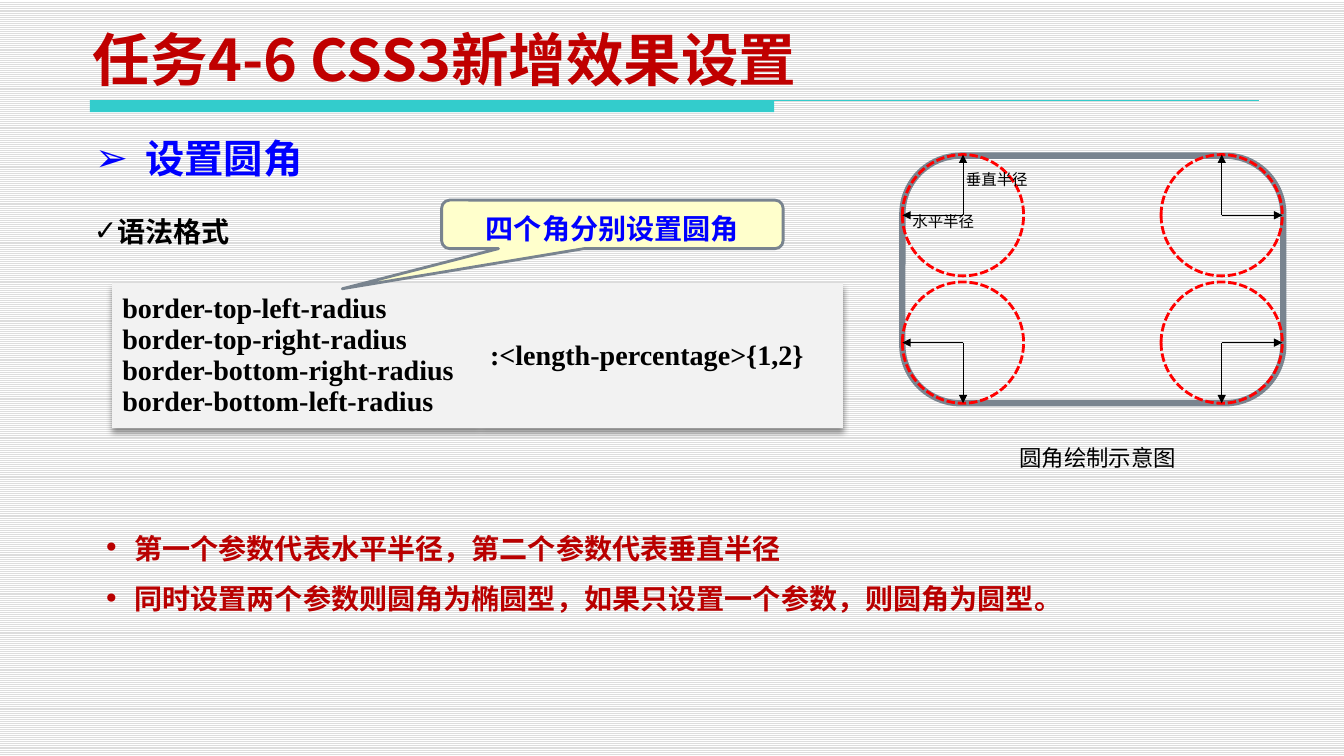
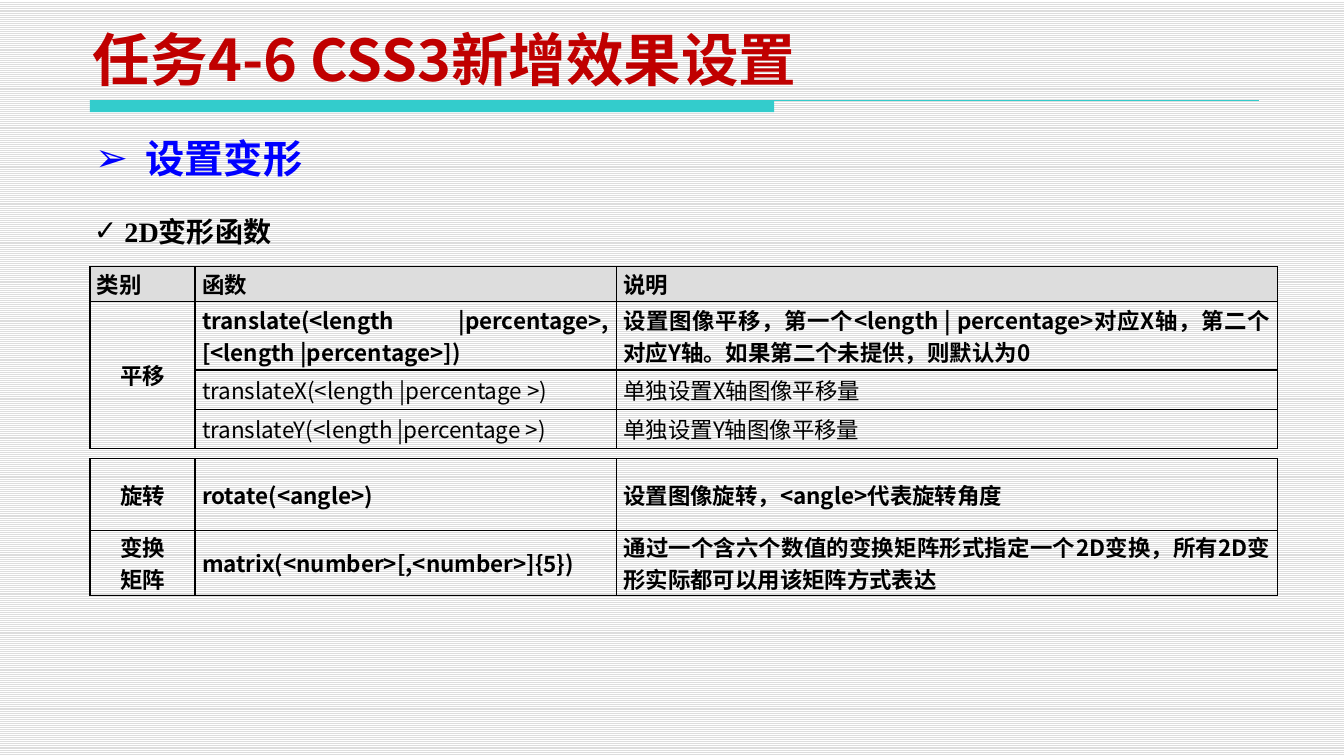
from dataclasses import dataclass
from itertools import product
from typing import NamedTuple

from lxml.etree import SubElement
from pptx import Presentation
from pptx.dml.color import RGBColor
from pptx.enum.dml import MSO_LINE_DASH_STYLE as Dash, MSO_PATTERN_TYPE as Pattern
from pptx.enum.shapes import MSO_CONNECTOR_TYPE as Link, MSO_SHAPE as Kind
from pptx.enum.text import MSO_ANCHOR as Anchor, MSO_AUTO_SIZE as Fit, PP_ALIGN as Align
from pptx.oxml.ns import qn
from pptx.util import Inches, Pt

BLACK = RGBColor(0, 0, 0)
WHITE = RGBColor(0xFF, 0xFF, 0xFF)
SILVER = RGBColor(0xDD, 0xDD, 0xDD)
PALE = RGBColor(0xF2, 0xF2, 0xF2)
SLATE = RGBColor(0x79, 0x84, 0x8F)
TEAL = RGBColor(0x33, 0xCC, 0xCC)
BLUE = RGBColor(0, 0, 0xFF)
RED = RGBColor(0xFF, 0, 0)
BRICK = RGBColor(0xB9, 0, 0)
WINE = RGBColor(0xC0, 0, 0)
CREAM = RGBColor(0xFF, 0xFF, 0xCC)

PLAIN_GRID = "{2D5ABB26-0587-4C30-8999-92F81FD0307C}"
COLS = [1.04, 4.17, 6.54]


class Box(NamedTuple):
    left: float
    top: float
    width: float
    height: float

    def emu(self) -> list:
        return [Inches(side) for side in self]


class Style(NamedTuple):
    name: str
    size: float
    color: RGBColor = BLACK
    bold: bool = False


@dataclass
class Item:
    """A bulleted block for one body placeholder."""
    lines: list[str]
    box: Box
    style: Style
    mark: str
    indent: float = 0
    space: float = 1


@dataclass
class Cell:
    text: str
    bold: bool = True
    align: Align = Align.JUSTIFY
    fill: RGBColor | None = None


TITLE = Style("Noto Sans CJK SC", 41, WINE, True)
HEAD = Style("DejaVu Sans", 28, BLUE, True)
CHECK = Style("Times New Roman", 20, BLACK, True)
POINT = Style("Calibri", 20, BRICK, True)
CALL = Style("DejaVu Sans", 20, BLUE, True)
LABEL = Style("Calibri", 11)
CAPTION = Style("DejaVu Sans", 16)


def sub(parent, tag: str, **attrs: str):
    return SubElement(parent, qn(tag), attrs)


def write(frame, lines: list[str], style: Style, align=Align.LEFT) -> list:
    """Fill a text frame with equally styled paragraphs."""
    frame.text = "\n".join(lines)
    for para in frame.paragraphs:
        para.alignment = align
        font = para.font
        font.name, font.size, font.bold = style.name, Pt(style.size), style.bold
        font.color.rgb = style.color
    return frame.paragraphs


def place(shape, box: Box) -> None:
    shape.left, shape.top, shape.width, shape.height = box.emu()


def add_box(shapes, kind: Kind, box: Box, line: RGBColor, width: float, fill=None):
    shape = shapes.add_shape(kind, *box.emu())
    shape.shadow.inherit = False
    if fill is None:
        shape.fill.background()
    else:
        shape.fill.solid()
        shape.fill.fore_color.rgb = fill
    shape.line.color.rgb, shape.line.width = line, Pt(width)
    return shape


def add_line(shapes, start: tuple, end: tuple, color: RGBColor, arrow=False):
    line = shapes.add_connector(Link.STRAIGHT, *(Inches(v) for v in start + end))
    line.line.color.rgb, line.line.width = color, Pt(0.75)
    props = line.element.spPr
    if arrow:
        sub(props.find(qn("a:ln")), "a:tailEnd", type="triangle")
    sub(props, "a:effectLst")
    return line


def add_text(shapes, text: str, box: Box, style: Style, align=Align.LEFT, wrap=True):
    frame = shapes.add_textbox(*box.emu()).text_frame
    frame.word_wrap = wrap
    write(frame, [text], style, align)


def add_item(holder, item: Item) -> None:
    place(holder, item.box)
    frame = holder.text_frame
    frame.auto_size, frame.vertical_anchor = Fit.NONE, Anchor.TOP
    for para in write(frame, item.lines, item.style):
        para.space_before, para.line_spacing = Pt(0), item.space
        props = para._p.get_or_add_pPr()
        indent = Inches(item.indent)
        props.set("marL", str(indent))
        props.set("indent", str(-indent))
        base = props.find(qn("a:defRPr"))
        tint = sub(props, "a:buClr")
        sub(tint, "a:srgbClr", val=str(item.style.color))
        sub(props, "a:buFont", typeface="DejaVu Sans")
        sub(props, "a:buChar", char=item.mark)
        props.append(base)


def add_page(deck, layout, items: list[Item]):
    slide = deck.slides.add_slide(layout)
    frame = slide.shapes.title.text_frame
    frame.auto_size, frame.vertical_anchor = Fit.NONE, Anchor.BOTTOM
    write(frame, ["任务4-6 CSS3新增效果设置"], TITLE)
    bodies = list(slide.placeholders)[1:]
    for holder, item in zip(bodies, items):
        add_item(holder, item)
    for spare in bodies[len(items):]:
        spare.element.getparent().remove(spare.element)
    return slide


def set_look(deck, layout) -> None:
    """Give the master its pattern and the layout its title place."""
    fill = deck.slide_master.background.fill
    fill.patterned()
    fill.pattern = Pattern.LIGHT_HORIZONTAL
    fill.fore_color.rgb, fill.back_color.rgb = SILVER, WHITE
    place(layout.placeholders[0], Box(0.82, 0.28, 8.03, 0.69))


def add_band(slide, layout) -> None:
    """Draw the title band and move it to the layout."""
    bar = add_box(slide.shapes, Kind.RECTANGLE, Box(0.89, 0.99, 6.77, 0.12), TEAL, 0.75, TEAL)
    bar.line.fill.background()
    rule = add_line(slide.shapes, (0.89, 0.99), (12.46, 0.99), TEAL)
    for num, part in enumerate((bar, rule)):
        part.element.xpath(".//p:cNvPr")[0].set("id", str(20 + num))
        layout.shapes.element.insert(2 + num, part.element)


def add_grid(shapes, left: float, top: float, cols: list[float], rows: list[float]):
    box = Box(left, top, sum(cols), sum(rows))
    table = shapes.add_table(len(rows), len(cols), *box.emu()).table
    table.first_row = table.horz_banding = False
    table._tbl.tblPr.find(qn("a:tableStyleId")).text = PLAIN_GRID
    for col, width in zip(table.columns, cols):
        col.width = Inches(width)
    for row, height in zip(table.rows, rows):
        row.height = Inches(height)
    return table


def fill_cell(cell, lines: list[str], style: Style, fill, align=Align.LEFT) -> None:
    cell.vertical_anchor = Anchor.MIDDLE
    write(cell.text_frame, lines, style, align)
    if fill is None:
        cell.fill.background()
    else:
        cell.fill.solid()
        cell.fill.fore_color.rgb = fill


def add_edges(cell) -> None:
    props = cell._tc.get_or_add_tcPr()
    for num, side in enumerate("LRTB"):
        edge = sub(props, f"a:ln{side}", w=str(Pt(1)))
        sub(sub(edge, "a:solidFill"), "a:srgbClr", val=str(BLACK))
        props.insert(num, edge)


def add_list(shapes, top: float, heights: list[float], rows: list[list]) -> None:
    """Draw a ruled table; None joins a cell to the one above."""
    table = add_grid(shapes, COLS and 0.89, top, COLS, heights)
    for (r, row), c in product(enumerate(rows), range(len(COLS))):
        cell, data = table.cell(r, c), row[c]
        cell.margin_left = cell.margin_right = Inches(0.07)
        cell.margin_top = cell.margin_bottom = 0
        add_edges(cell)
        if data:
            style = Style("Noto Sans CJK SC", 16, BLACK, data.bold)
            fill_cell(cell, data.text.split("\n"), style, data.fill, data.align)
    joined = [r for r, row in enumerate(rows) if row[0] is None]
    if joined:
        table.cell(joined[0] - 1, 0).merge(table.cell(joined[-1], 0))


def add_code(shapes) -> None:
    names = [f"border-{side}-radius"
             for side in ("top-left", "top-right", "bottom-right", "bottom-left")]
    table = add_grid(shapes, 1.11, 2.8, [3.64, 3.35, 0.23], [1.43])
    for col, lines in enumerate((names, [":<length-percentage>{1,2}"], [""])):
        fill_cell(table.cell(0, col), lines, CHECK, PALE)
    glow = sub(table._tbl.tblPr, "a:effectLst")
    cast = sub(glow, "a:outerShdw", blurRad=str(Pt(4)), dist=str(Pt(3)),
               dir="5400000", algn="t", rotWithShape="0")
    sub(sub(cast, "a:srgbClr", val=str(BLACK)), "a:alpha", val="40000")
    table._tbl.tblPr.insert(0, glow)


def add_corners(shapes) -> None:
    """Draw the rounded frame with a circle and two radii in each corner."""
    group = shapes.add_group_shape().shapes
    frame = add_box(group, Kind.ROUNDED_RECTANGLE, Box(8.93, 1.54, 3.77, 2.45), SLATE, 4.5)
    frame.adjustments[0] = 0.236
    size, half = 1.2, 0.6
    for (left, dx), (top, dy) in product(((8.93, -half), (11.49, half)),
                                         ((1.53, -half), (2.79, half))):
        ring = add_box(group, Kind.OVAL, Box(left, top, size, size), RED, 2)
        ring.line.dash_style = Dash.SQUARE_DOT
        x, y = left + half, top + half
        for end in ((x + dx, y), (x, y + dy)):
            add_line(group, (x, y), end, BLACK, arrow=True)
    for text, left, top in (("垂直半径", 9.46, 1.63), ("水平半径", 8.93, 2.05)):
        add_text(group, text, Box(left, top, 0.93, 0.34), LABEL, Align.JUSTIFY)


def add_call(shapes) -> None:
    call = add_box(shapes, Kind.ROUNDED_RECTANGULAR_CALLOUT,
                   Box(4.37, 1.98, 3.38, 0.48), SLATE, 2, CREAM)
    for num, value in enumerate((-0.791, 1.328, 0.167)):
        call.adjustments[num] = value
    call.text_frame.vertical_anchor = Anchor.MIDDLE
    para, = write(call.text_frame, ["四个角分别设置圆角"], CALL, Align.CENTER)
    para.line_spacing = Pt(30)


def heads(head: str, check: str) -> list[Item]:
    return [Item([head], Box(0.84, 1.28, 12.03, 0.58), HEAD, "➢", 0.5),
            Item([check], Box(0.83, 2.07, 7.33, 0.44), CHECK, "✓")]


def main() -> None:
    deck = Presentation()
    deck.slide_width, deck.slide_height = Inches(13.3), Inches(7.48)
    layout = deck.slide_layouts.get_by_name("Comparison")
    set_look(deck, layout)

    points = Item(["第一个参数代表水平半径，第二个参数代表垂直半径",
                   "同时设置两个参数则圆角为椭圆型，如果只设置一个参数，则圆角为圆型。"],
                  Box(0.92, 5.04, 9.78, 1.04), POINT, "•", 0.31, 1.5)
    round_page = add_page(deck, layout, heads("设置圆角", "语法格式") + [points])
    add_band(round_page, layout)
    add_corners(round_page.shapes)
    add_text(round_page.shapes, "圆角绘制示意图", Box(9.99, 4.34, 1.77, 0.36), CAPTION, wrap=False)
    add_code(round_page.shapes)
    add_call(round_page.shapes)

    shapes = add_page(deck, layout, heads("设置变形", " 2D变形函数")).shapes
    add_list(shapes, 2.64, [0.34, 0.68, 0.39, 0.39], [
        [Cell(text, fill=SILVER) for text in ("类别", "函数", "说明")],
        [Cell("平移", align=Align.CENTER),
         Cell("translate(<length |percentage>,[<length |percentage>])"),
         Cell("设置图像平移，第一个<length | percentage>对应X轴，第二个对应Y轴。"
              "如果第二个未提供，则默认为0")],
        *([None, Cell(f"translate{axis}(<length |percentage >)", False),
           Cell(f"单独设置{axis}轴图像平移量", False)] for axis in "XY")])
    add_list(shapes, 4.54, [0.71, 0.61], [
        [Cell("旋转", align=Align.CENTER), Cell("rotate(<angle>)"),
         Cell("设置图像旋转，<angle>代表旋转角度")],
        [Cell("变换\n矩阵", align=Align.CENTER), Cell("matrix(<number>[,<number>]{5})"),
         Cell("通过一个含六个数值的变换矩阵形式指定一个2D变换，所有2D变形实际都可以用该矩阵方式表达")]])
    deck.save("out.pptx")


if __name__ == "__main__":
    main()
